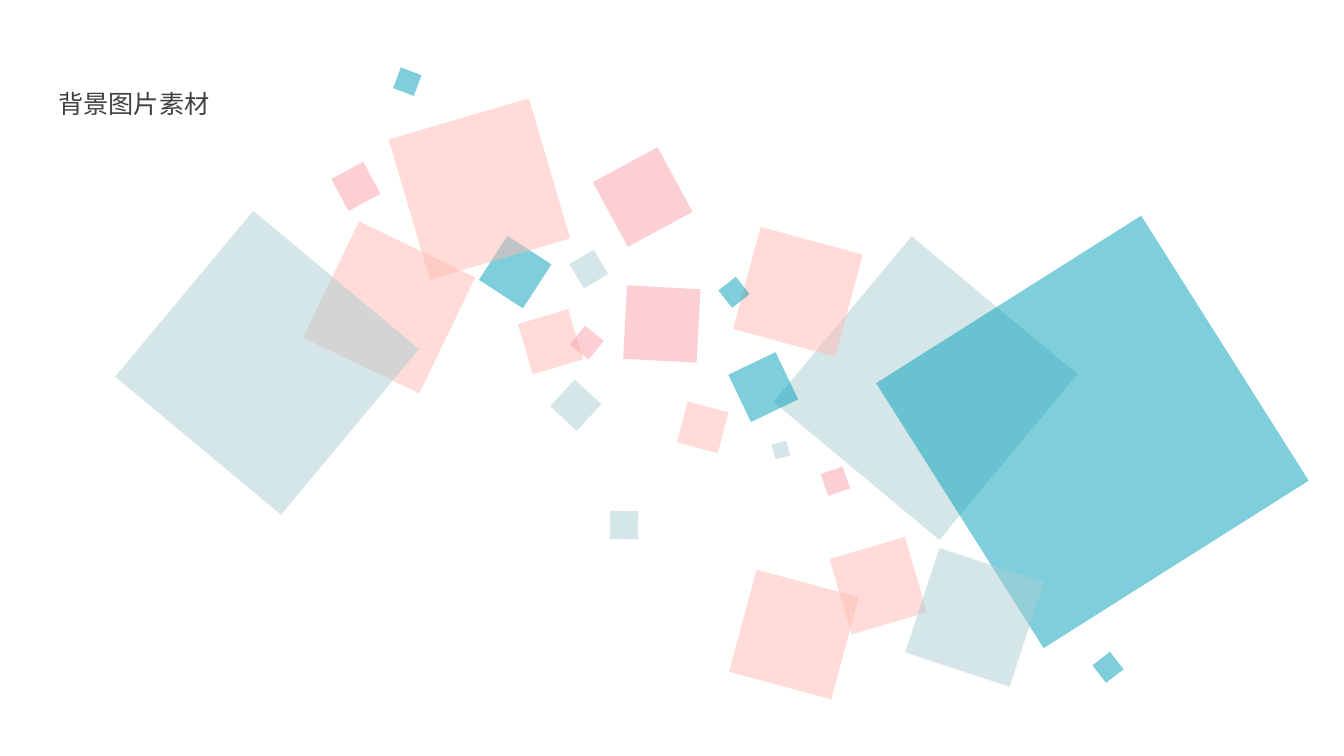
from lxml import etree
from pptx import Presentation
from pptx import util as u
from pptx.dml.color import RGBColor
from pptx.enum import shapes, text
from pptx.oxml.ns import qn

COLORS = {
    "coral": "FFBBB3",
    "mist": "AACED2",
    "pink": "FAA0AA",
    "teal": "009FB8",
    "ink": "404040",
}

# left, top, side (inches), rotation (degrees), colour; back to front
SQUARES = [
    (3.22, 2.41, 1.28, 295.7, "coral"),
    (5.53, 3.84, 0.36, 42.6, "mist"),
    (5.2, 3.13, 0.52, 343.4, "coral"),
    (5.7, 3.28, 0.24, 39.2, "pink"),
    (4.85, 2.44, 0.52, 32.9, "teal"),
    (6.01, 1.59, 0.73, 331.6, "pink"),
    (4.03, 1.15, 1.45, 343.6, "coral"),
    (1.58, 2.53, 2.14, 309.8, "mist"),
    (3.93, 0.7, 0.22, 290.5, "teal"),
    (5.7, 2.53, 0.28, 329.2, "mist"),
    (3.35, 1.67, 0.36, 331.6, "pink"),
    (8.32, 5.42, 0.78, 163.7, "coral"),
    (8.11, 2.78, 2.14, 309.8, "mist"),
    (7.67, 4.39, 0.15, 74.2, "mist"),
    (6.76, 4.03, 0.42, 14.9, "coral"),
    (8.17, 4.66, 0.23, 70.7, "pink"),
    (7.31, 3.58, 0.52, 64.4, "teal"),
    (6.2, 2.85, 0.73, 3.1, "pink"),
    (7.39, 2.37, 1.05, 15.1, "coral"),
    (7.17, 2.79, 0.22, 322, "teal"),
    (6.05, 5.07, 0.28, 0.7, "mist"),
    (9.28, 2.73, 3.11, 327.7, "teal"),
    (7.35, 5.77, 1.05, 15.1, "coral"),
    (10.88, 6.51, 0.22, 322, "teal"),
    (9.12, 5.58, 1.09, 288.2, "mist"),
]


class Painter:
    """Holds the style and the current slide."""

    font = "Roboto"
    opacity = 50

    def __init__(self, page):
        self.page = page

    def title(self, words, left, top, width, height):
        box = self.page.shapes.add_textbox(*map(u.Inches, (left, top, width, height)))
        frame = box.text_frame
        frame.word_wrap = False
        frame.auto_size = text.MSO_AUTO_SIZE.SHAPE_TO_FIT_TEXT
        frame.text = words
        span = frame.paragraphs[0].runs[0]
        span.font.name = self.font
        span.font.size = u.Pt(18)
        span.font.color.rgb = RGBColor.from_string(COLORS["ink"])

    def square(self, left, top, side, rotation, color):
        """Draw a translucent rotated square."""
        square = self.page.shapes.add_shape(
            shapes.MSO_SHAPE.RECTANGLE, *map(u.Inches, (left, top, side, side)))
        square.rotation = rotation
        square.shadow.inherit = False
        square.line.fill.background()
        square.fill.solid()
        square.fill.fore_color.rgb = RGBColor.from_string(COLORS[color])
        tint = square.fill._xPr.find(qn("a:solidFill"))[0]
        etree.SubElement(tint, qn("a:alpha"), val=str(self.opacity * 1000))


def main():
    deck = Presentation()
    deck.slide_width, deck.slide_height = u.Inches(13.33), u.Inches(7.5)
    painter = Painter(deck.slides.add_slide(deck.slide_layouts[6]))
    painter.title("背景图片素材", 0.48, 0.83, 1.72, 0.4)
    for square in SQUARES:
        painter.square(*square)
    deck.save("out.pptx")


if __name__ == "__main__":
    main()
